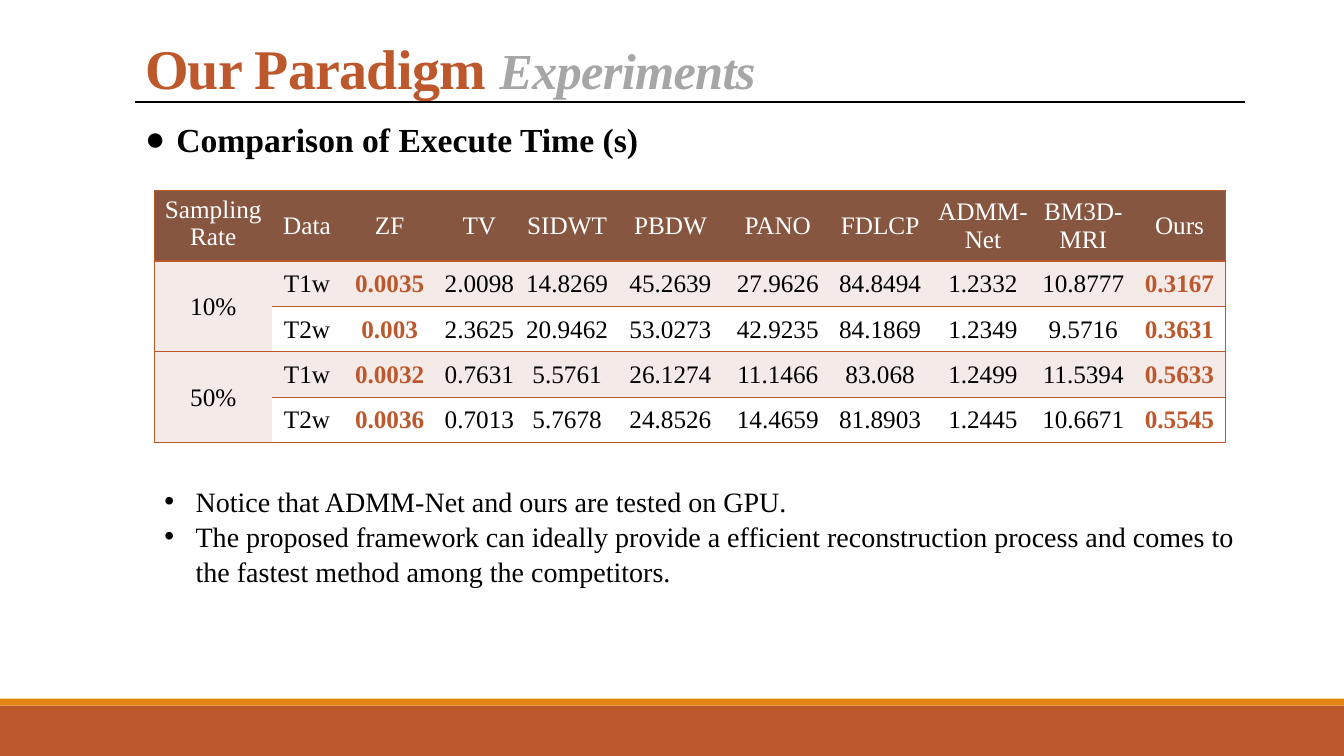
from lxml.etree import SubElement
from pptx import Presentation
from pptx.dml.color import RGBColor
from pptx.enum.shapes import MSO_CONNECTOR, MSO_SHAPE
from pptx.enum.text import MSO_ANCHOR, MSO_AUTO_SIZE, PP_ALIGN
from pptx.oxml import parse_xml
from pptx.oxml.ns import nsdecls, qn
from pptx.util import Inches, Pt

FONT = "Times New Roman"
RUST, ORANGE, BROWN = "BD582C", "E48312", "865640"
BLACK, WHITE, GREY, BLUSH = "000000", "FFFFFF", "A6A6A6", "F4EAE8"
PLAIN_TABLE_STYLE = "{2D5ABB26-0587-4C30-8999-92F81FD0307C}"

HEADER = ["Sampling Rate", "Data", "ZF", "TV", "SIDWT", "PBDW", "PANO",
          "FDLCP", "ADMM-Net", "BM3D-MRI", "Ours"]
TIMES = [
    ["10%", "T1w", "0.0035", "2.0098", "14.8269", "45.2639", "27.9626",
     "84.8494", "1.2332", "10.8777", "0.3167"],
    ["", "T2w", "0.003", "2.3625", "20.9462", "53.0273", "42.9235",
     "84.1869", "1.2349", "9.5716", "0.3631"],
    ["50%", "T1w", "0.0032", "0.7631", "5.5761", "26.1274", "11.1466",
     "83.068", "1.2499", "11.5394", "0.5633"],
    ["", "T2w", "0.0036", "0.7013", "5.7678", "24.8526", "14.4659",
     "81.8903", "1.2445", "10.6671", "0.5545"],
]
COLUMN_WIDTHS = [1.17, 0.69, 0.95, 0.83, 0.91, 1.14, 0.99, 1.04, 1, 0.99, 0.92]
ROW_HEIGHTS = [0.7] + [0.45] * len(TIMES)
HIGHLIGHTED = (HEADER.index("ZF"), HEADER.index("Ours"))
NOTES = [
    "Notice that ADMM-Net and ours are tested on GPU.",
    "The proposed framework can ideally provide a efficient reconstruction "
    "process and comes to the fastest method among the competitors.",
]


def color(value):
    return RGBColor.from_string(value)


def add_text(paragraph, text, size=18, fill=BLACK, bold=False, italic=False,
             spacing=None):
    run = paragraph.add_run()
    run.text = text
    font = run.font
    font.name, font.size = FONT, Pt(size)
    font.bold, font.italic = bold, italic
    font.color.rgb = color(fill)
    if spacing is not None:
        font._element.set("spc", str(round(spacing * 100)))


def add_bullet(paragraph, symbol, indent=0.31):
    properties = paragraph._p.get_or_add_pPr()
    properties.set("marL", str(Inches(indent)))
    properties.set("indent", str(-Inches(indent)))
    SubElement(properties, qn("a:buFont")).set("typeface", "Arial")
    SubElement(properties, qn("a:buChar")).set("char", symbol)


def add_borders(cell, sides):
    properties = cell._tc.get_or_add_tcPr()
    for position, side in enumerate(sides):
        properties.insert(position, parse_xml(
            f'<a:ln{side} {nsdecls("a")} w="{Pt(1)}"><a:solidFill>'
            f'<a:srgbClr val="{RUST}"/></a:solidFill></a:ln{side}>'))


class SlideBuilder:
    """Places elements by percentages of the slide's width and height."""

    def __init__(self, presentation):
        self.width = presentation.slide_width
        self.height = presentation.slide_height
        # The two-content layout offers a title and two lists
        self.slide = presentation.slides.add_slide(presentation.slide_layouts[3])

    def place(self, left, top, width, height):
        return (round(self.width * left / 100), round(self.height * top / 100),
                round(self.width * width / 100), round(self.height * height / 100))

    def band(self, area, fill):
        shape = self.slide.shapes.add_shape(MSO_SHAPE.RECTANGLE, *self.place(*area))
        shape.shadow.inherit = False
        shape.fill.solid()
        shape.fill.fore_color.rgb = color(fill)
        shape.line.fill.background()

    def rule(self, left, right, top):
        x, y, length, _ = self.place(left, top, right - left, 0)
        connector = self.slide.shapes.add_connector(
            MSO_CONNECTOR.STRAIGHT, x, y, x + length, y)
        connector.line.color.rgb = color(BLACK)
        connector.line.width = Pt(1)
        SubElement(connector._element.spPr, qn("a:effectLst"))

    def frame(self, index, area, anchor):
        shape = self.slide.placeholders[index]
        shape.left, shape.top, shape.width, shape.height = self.place(*area)
        frame = shape.text_frame
        frame.word_wrap = True
        frame.auto_size = MSO_AUTO_SIZE.NONE
        frame.vertical_anchor = anchor
        return frame

    def title(self, area, text, subtitle):
        paragraph = self.frame(0, area, MSO_ANCHOR.MIDDLE).paragraphs[0]
        paragraph.alignment = PP_ALIGN.LEFT
        paragraph.line_spacing = 0.85
        add_text(paragraph, text, size=40, fill=RUST, bold=True, spacing=-0.5)
        add_text(paragraph, subtitle, size=36, fill=GREY, bold=True, italic=True,
                 spacing=-0.5)

    def bullets(self, index, area, items, symbol, **text_format):
        frame = self.frame(index, area, MSO_ANCHOR.TOP)
        for number, item in enumerate(items):
            paragraph = frame.add_paragraph() if number else frame.paragraphs[0]
            add_bullet(paragraph, symbol)
            paragraph.space_before = Pt(0)
            paragraph.line_spacing = 1.04
            add_text(paragraph, item, **text_format)

    def table(self, area, rows):
        table = self.slide.shapes.add_table(
            len(rows), len(HEADER), *self.place(*area)).table
        table._tbl.tblPr.find(qn("a:tableStyleId")).text = PLAIN_TABLE_STYLE
        for column, width in zip(table.columns, COLUMN_WIDTHS):
            column.width = Inches(width)
        for row, height in zip(table.rows, ROW_HEIGHTS):
            row.height = Inches(height)
        # Each sampling rate spans its two data rows
        for top in range(1, len(rows), 2):
            table.cell(top, 0).merge(table.cell(top + 1, 0))
        for row, values in enumerate(rows):
            for column, value in enumerate(values):
                self.cell(table.cell(row, column), value, row, column)

    def cell(self, cell, value, row, column):
        header = row == 0
        highlighted = not header and column in HIGHLIGHTED
        cell.fill.solid()
        cell.fill.fore_color.rgb = color(
            BROWN if header else BLUSH if row % 2 or column == 0 else WHITE)
        sides = ["L"] if column == 0 else []
        sides += ["R"] if column == len(HEADER) - 1 else []
        sides += ["B"] if cell.is_spanned else ["T", "B"]
        add_borders(cell, sides)
        if not (header and column == 0):
            cell.vertical_anchor = MSO_ANCHOR.MIDDLE
        if not (header and column < 2):
            cell.margin_left = cell.margin_top = cell.margin_right = Inches(0.01)
            cell.margin_bottom = 0
        if value:
            paragraph = cell.text_frame.paragraphs[0]
            paragraph.alignment = PP_ALIGN.CENTER
            add_text(paragraph, value, bold=highlighted,
                     fill=WHITE if header else RUST if highlighted else BLACK)


def main():
    presentation = Presentation()
    presentation.slide_width = Inches(13.33)
    presentation.slide_height = Inches(7.5)
    builder = SlideBuilder(presentation)

    # Footer bands
    builder.band((0, 93.33, 100, 6.67), RUST)
    builder.band((0, 92.4, 100, 0.93), ORANGE)

    # Title and its rule
    builder.title((10.05, 4.27, 82.5, 10.53), "Our Paradigm ", "Experiments")
    builder.rule(10.05, 92.63, 13.47)

    # Heading, timing table and notes
    builder.bullets(1, (10.05, 14.8, 89.95, 6.67),
                    ["Comparison of Execute Time (s)"], "●", size=24, bold=True)
    builder.table((11.48, 25.2, 79.88, 33.2), [HEADER] + TIMES)
    builder.bullets(2, (11.48, 63.2, 81.75, 14.8), NOTES, "•", size=20)

    presentation.save("out.pptx")


if __name__ == "__main__":
    main()
